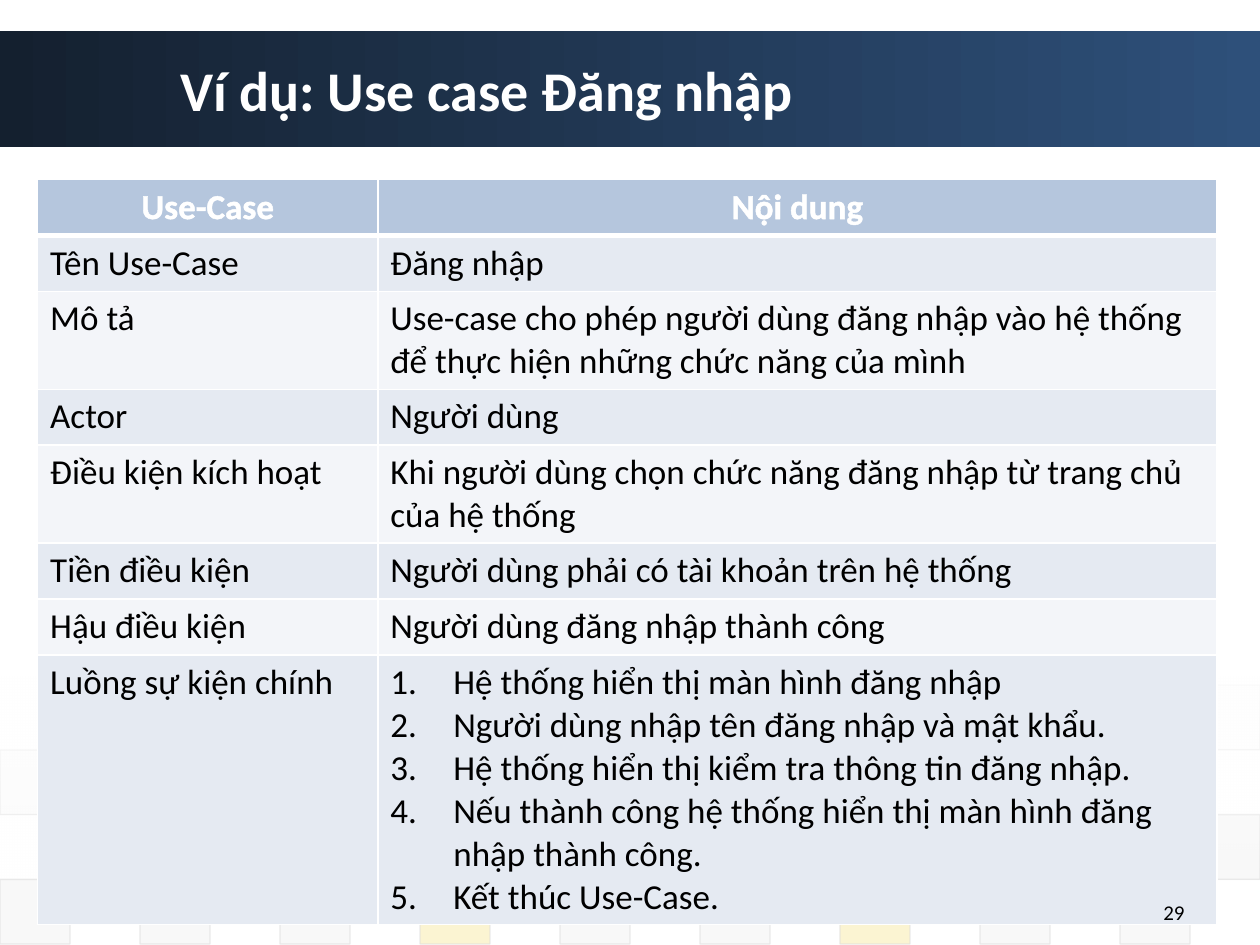
from lxml import etree
from pptx import Presentation
from pptx.dml.color import RGBColor
from pptx.enum.shapes import MSO_SHAPE
from pptx.enum.text import MSO_ANCHOR, PP_ALIGN
from pptx.oxml.ns import qn
from pptx.util import Pt

RECTANGLE = MSO_SHAPE.RECTANGLE
MIDDLE = MSO_ANCHOR.MIDDLE
LEFT, CENTER, RIGHT = PP_ALIGN.LEFT, PP_ALIGN.CENTER, PP_ALIGN.RIGHT

FONT = "Calibri"
WHITE, BLACK = "FFFFFF", "000000"
HEADER_FILL, BAND_FILLS = "B5C6DD", ("E5EAF2", "F3F5F9")

TILE_COLORS = {"d": "DDDDDD", "e": "EAEAEA", "y": "EFC821", "g": "8AC246"}
# One string per tile row, with the opacity of its fills in percent
TILE_ROWS = [("yeeydyege", 5), ("ddddgdddy", 10),
             ("dgddddgdd", 20), ("dddyddydd", 20)]
TILE_WIDTH, TILE_HEIGHT, TILES_TOP = 40, 37, 391.5

COLUMN_WIDTHS = [194.4, 479.6]
HEADER = ("Use-Case", "Nội dung")
MAIN_FLOW = [
    "Hệ thống hiển thị màn hình đăng nhập",
    "Người dùng nhập tên đăng nhập và mật khẩu.",
    "Hệ thống hiển thị kiểm tra thông tin đăng nhập.",
    "Nếu thành công hệ thống hiển thị màn hình đăng nhập thành công.",
    "Kết thúc Use-Case.",
]
USE_CASE = [
    ("Tên Use-Case", "Đăng nhập", 32),
    ("Mô tả", "Use-case cho phép người dùng đăng nhập vào hệ thống "
     "để thực hiện những chức năng của mình", 56),
    ("Actor", "Người dùng", 32),
    ("Điều kiện kích hoạt", "Khi người dùng chọn chức năng đăng nhập "
     "từ trang chủ của hệ thống", 56),
    ("Tiền điều kiện", "Người dùng phải có tài khoản trên hệ thống", 32),
    ("Hậu điều kiện", "Người dùng đăng nhập thành công", 32),
    ("Luồng sự kiện chính", MAIN_FLOW, 154),
]
HEADER_HEIGHT = 32


def rgb(color):
    return RGBColor.from_string(color)


def set_opacity(parent, percent):
    """Set the opacity of every RGB colour below an XML element."""
    for color in parent.iter(qn("a:srgbClr")):
        etree.SubElement(color, qn("a:alpha"), val=str(percent * 1000))


def add_solid_xml(parent, color):
    solid = etree.SubElement(parent, qn("a:solidFill"))
    etree.SubElement(solid, qn("a:srgbClr"), val=color)


def add_rectangle(slide, left, top, width, height):
    rectangle = slide.shapes.add_shape(
        RECTANGLE, Pt(left), Pt(top), Pt(width), Pt(height))
    rectangle.shadow.inherit = False
    return rectangle


def add_gradient(slide, top, height, colors, angle):
    band = add_rectangle(slide, 0, top, 720, height)
    band.line.fill.background()
    band.fill.gradient()
    band.fill.gradient_angle = angle
    for stop, color in zip(band.fill.gradient_stops, colors):
        stop.color.rgb = rgb(color)
    return band


def add_tile(slide, left, top, color, opacity):
    tile = add_rectangle(slide, left, top, TILE_WIDTH, TILE_HEIGHT)
    tile.fill.solid()
    tile.fill.fore_color.rgb = rgb(color)
    set_opacity(tile.fill._xPr.find(qn("a:solidFill")), opacity)
    tile.line.color.rgb = rgb(TILE_COLORS["d"])
    tile.line.width = Pt(0.75)
    set_opacity(tile.line._ln, 60)


def add_checkered_floor(slide):
    for row, (colors, opacity) in enumerate(TILE_ROWS):
        shift = TILE_WIDTH * ((row + 1) % 2)
        for column, key in enumerate(colors):
            add_tile(slide, shift + 2 * TILE_WIDTH * column,
                     TILES_TOP + TILE_HEIGHT * row, TILE_COLORS[key], opacity)
    veil = add_gradient(slide, 386.6, 116.6, (WHITE, WHITE), 270)
    for stop, opacity in zip(veil.fill._xPr.iter(qn("a:gs")), (90, 0)):
        set_opacity(stop, opacity)


def format_paragraph(paragraph, size, color, bold=False, align=LEFT):
    paragraph.alignment = align
    for run in paragraph.runs:
        run.font.name = FONT
        run.font.size = Pt(size)
        run.font.bold = bold
        run.font.color.rgb = rgb(color)


def add_text(slide, left, top, width, height, text, size, color, **style):
    box = slide.shapes.add_textbox(Pt(left), Pt(top), Pt(width), Pt(height))
    frame = box.text_frame
    frame.word_wrap = True
    frame.vertical_anchor = MIDDLE
    frame.text = text
    format_paragraph(frame.paragraphs[0], size, color, **style)


def number_paragraph(paragraph):
    properties = paragraph._p.get_or_add_pPr()
    properties.set("marL", str(Pt(36)))
    properties.set("indent", str(Pt(-36)))
    etree.SubElement(properties, qn("a:buFont"), typeface="+mj-lt")
    etree.SubElement(properties, qn("a:buAutoNum"), type="arabicPeriod")


def outline_text(run, color):
    outline = etree.Element(qn("a:ln"), w=str(Pt(0.75)))
    add_solid_xml(outline, color)
    run.font._element.insert(0, outline)


def style_cell(cell, fill, top=1, bottom=1):
    """Fill a cell and give it white borders; top and bottom are widths."""
    properties = cell._tc.get_or_add_tcPr()
    for side, width in (("L", 1), ("R", 1), ("T", top), ("B", bottom)):
        border = etree.SubElement(properties, qn(f"a:ln{side}"),
                                  w=str(Pt(width)))
        add_solid_xml(border, WHITE)
    cell.fill.solid()
    cell.fill.fore_color.rgb = rgb(fill)


def fill_header(row):
    row.height = Pt(HEADER_HEIGHT)
    for cell, heading in zip(row.cells, HEADER):
        style_cell(cell, HEADER_FILL, bottom=3)
        cell.text_frame.text = heading
        paragraph = cell.text_frame.paragraphs[0]
        format_paragraph(paragraph, 20, WHITE, bold=True, align=CENTER)
        outline_text(paragraph.runs[0], WHITE)


def fill_entry(row, index, label, content, height):
    row.height = Pt(height)
    for cell, value in zip(row.cells, (label, content)):
        style_cell(cell, BAND_FILLS[index % 2], top=1 if index else 3)
        numbered = isinstance(value, list)
        cell.text_frame.text = "\n".join(value) if numbered else value
        for paragraph in cell.text_frame.paragraphs:
            if numbered:
                number_paragraph(paragraph)
            format_paragraph(paragraph, 20, BLACK)


def add_use_case_table(slide):
    height = HEADER_HEIGHT + sum(entry[2] for entry in USE_CASE)
    table = slide.shapes.add_table(
        len(USE_CASE) + 1, len(COLUMN_WIDTHS), Pt(21.5), Pt(102.5),
        Pt(sum(COLUMN_WIDTHS)), Pt(height)).table
    for column, width in zip(table.columns, COLUMN_WIDTHS):
        column.width = Pt(width)
    fill_header(table.rows[0])
    for index, entry in enumerate(USE_CASE):
        fill_entry(table.rows[index + 1], index, *entry)


def main():
    presentation = Presentation()
    presentation.slide_width, presentation.slide_height = Pt(720), Pt(540)
    slide = presentation.slides.add_slide(presentation.slide_layouts[6])
    add_gradient(slide, 18, 66, ("14202F", "2E507A"), 0)
    add_checkered_floor(slide)
    add_text(slide, 96, 18, 623, 66, "Ví dụ: Use case Đăng nhập", 32, WHITE,
             bold=True)
    add_use_case_table(slide)
    add_text(slide, 516, 509, 168, 24, "29", 12, BLACK, align=RIGHT)
    presentation.save("out.pptx")


if __name__ == "__main__":
    main()
